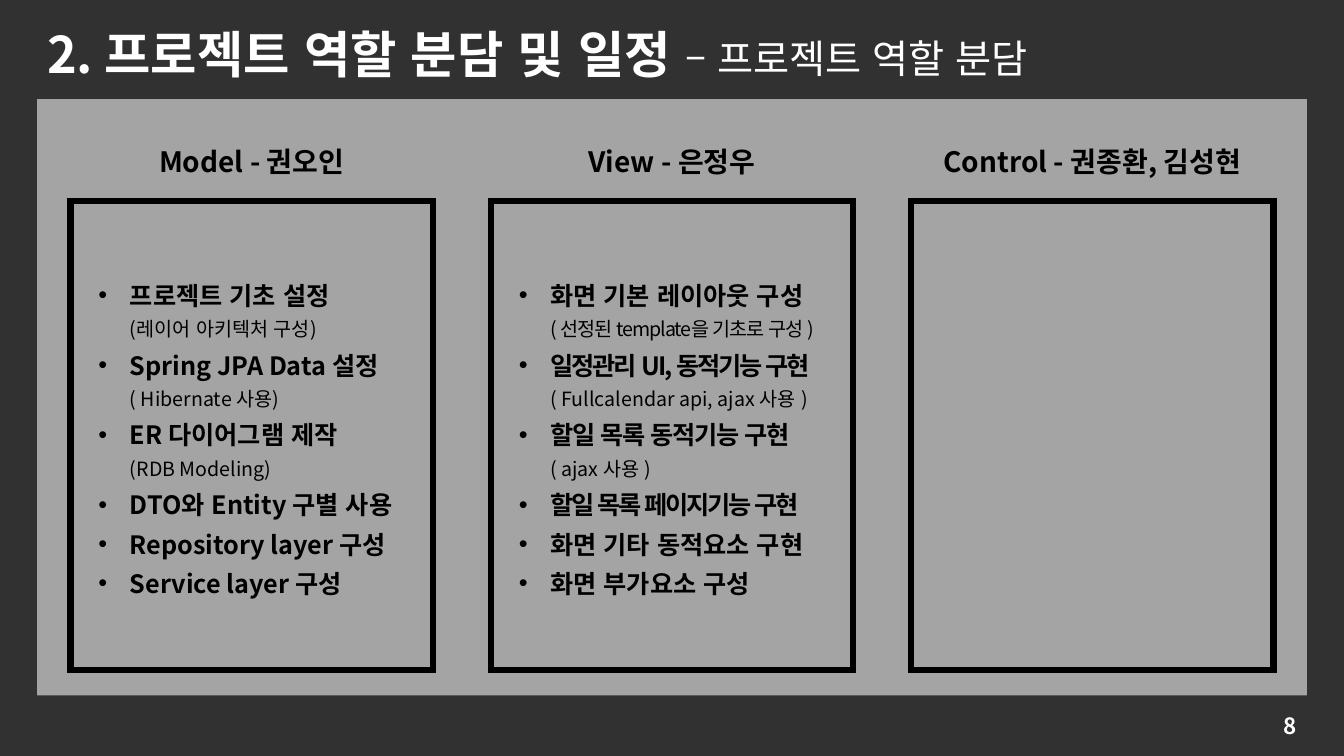
"""Build the slide that lists each member's role in the project."""
from lxml import etree
from pptx import Presentation
from pptx import util as u
from pptx.dml.color import RGBColor
from pptx.enum import lang, shapes, text
from pptx.oxml.ns import qn

FONT = "Noto Sans CJK KR"
TITLE = {"size": u.Pt(36), "bold": True}
SUBTITLE = {"size": u.Pt(28), "bold": False}
NUMBER = {"size": u.Pt(16), "bold": True}
HEADING = {"size": u.Pt(20), "bold": True}
TASK = {"size": u.Pt(18), "bold": True}
DETAIL = {"size": u.Pt(14), "bold": False}


def color(value):
    return RGBColor.from_string(value)


def add_span(para, words, style, ink, spacing=0):
    span = para.add_run()
    span.text = words
    for name, value in style.items():
        setattr(span.font, name, value)
    span.font.name = FONT
    span.font.language_id = lang.MSO_LANGUAGE_ID.KOREAN
    span.font.color.rgb = color(ink)
    properties = span.font._element
    etree.SubElement(properties, qn("a:ea")).set("typeface", FONT)
    if spacing:
        properties.set("spc", str(round(spacing * 100)))


deck = Presentation()
deck.slide_width, deck.slide_height = u.Pt(960), u.Pt(540)
page = deck.slides.add_slide(deck.slide_layouts[6])

for left, top, width, height, fill, opacity in [
    (0, 0, 960, 540, "0D0D0D", 85),
    (26.5, 70.75, 907, 426, "F2F2F2", 60),
]:
    panel = page.shapes.add_shape(
        shapes.MSO_SHAPE.RECTANGLE, u.Pt(left), u.Pt(top), u.Pt(width), u.Pt(height))
    panel.shadow.inherit = False
    panel.fill.solid()
    panel.fill.fore_color.rgb = color(fill)
    panel.line.fill.background()
    tint = panel._element.spPr.find(qn("a:solidFill"))[0]
    etree.SubElement(tint, qn("a:alpha")).set("val", str(opacity * 1000))

title = page.shapes.add_textbox(u.Pt(26.5), u.Pt(13), u.Pt(829), u.Pt(51))
title.text_frame.word_wrap = True
para = title.text_frame.paragraphs[0]
add_span(para, "2. 프로젝트 역할 분담 및 일정 ", TITLE, "FFFFFF")
add_span(para, "– 프로젝트 역할 분담", SUBTITLE, "FFFFFF")

number = page.shapes.add_textbox(u.Pt(717.5), u.Pt(503.5), u.Pt(216), u.Pt(29))
number.text_frame.word_wrap = True
number.text_frame.vertical_anchor = text.MSO_ANCHOR.MIDDLE
para = number.text_frame.paragraphs[0]
para.alignment = text.PP_ALIGN.RIGHT
add_span(para, "8", NUMBER, "FFFFFF")

roles = [
    ("Model - 권오인", [
        ("프로젝트 기초 설정", 0, "(레이어 아키텍처 구성)", 0),
        ("Spring JPA Data 설정", 0, "( Hibernate 사용)", 0),
        ("ER 다이어그램 제작", 0, "(RDB Modeling)", 0),
        ("DTO와 Entity 구별 사용", 0, "", 0),
        ("Repository layer 구성", 0, "", 0),
        ("Service layer 구성", 0, "", 0),
    ]),
    ("View - 은정우", [
        ("화면 기본 레이아웃 구성", 0, "( 선정된 template을 기초로 구성 )", -0.8),
        ("일정관리 UI, 동적기능 구현", -1.5, "( Fullcalendar api, ajax 사용 )", 0),
        ("할일 목록 동적기능 구현", -0.8, "( ajax 사용 )", 0),
        ("할일 목록 페이지기능 구현", -1.5, "", 0),
        ("화면 기타 동적요소 구현", 0, "", 0),
        ("화면 부가요소 구성", 0, "", 0),
    ]),
    ("Control - 권종환, 김성현", []),
]

for column, (heading, tasks) in enumerate(roles):
    left = 50.25 + 300.25 * column
    frame = page.shapes.add_shape(
        shapes.MSO_SHAPE.RECTANGLE, u.Pt(left), u.Pt(143.5), u.Pt(259), u.Pt(335))
    frame.shadow.inherit = False
    frame.fill.background()
    frame.line.color.rgb = color("000000")
    frame.line.width = u.Pt(4.5)
    outline = frame._element.spPr.find(qn("a:ln"))
    etree.SubElement(outline, qn("a:miter")).set("lim", "800000")

    box = page.shapes.add_textbox(u.Pt(left - 3), u.Pt(100), u.Pt(265), u.Pt(32))
    box.text_frame.word_wrap = True
    para = box.text_frame.paragraphs[0]
    para.alignment = text.PP_ALIGN.CENTER
    add_span(para, heading, HEADING, "000000")

    if not tasks:
        continue
    box = page.shapes.add_textbox(u.Pt(left + 13), u.Pt(190), u.Pt(233), u.Pt(266))
    box.text_frame.word_wrap = True
    for index, (task, task_spacing, detail, detail_spacing) in enumerate(tasks):
        para = box.text_frame.add_paragraph() if index else box.text_frame.paragraphs[0]
        para.line_spacing = 1.3
        properties = para._p.get_or_add_pPr()
        properties.set("marL", str(u.Pt(22.5)))
        properties.set("indent", str(-u.Pt(22.5)))
        etree.SubElement(properties, qn("a:buFont")).set("typeface", "Arial")
        etree.SubElement(properties, qn("a:buChar")).set("char", "•")
        add_span(para, task, TASK, "000000", task_spacing)
        if detail:
            para.add_line_break()
            add_span(para, detail, DETAIL, "000000", detail_spacing)

deck.save("out.pptx")
